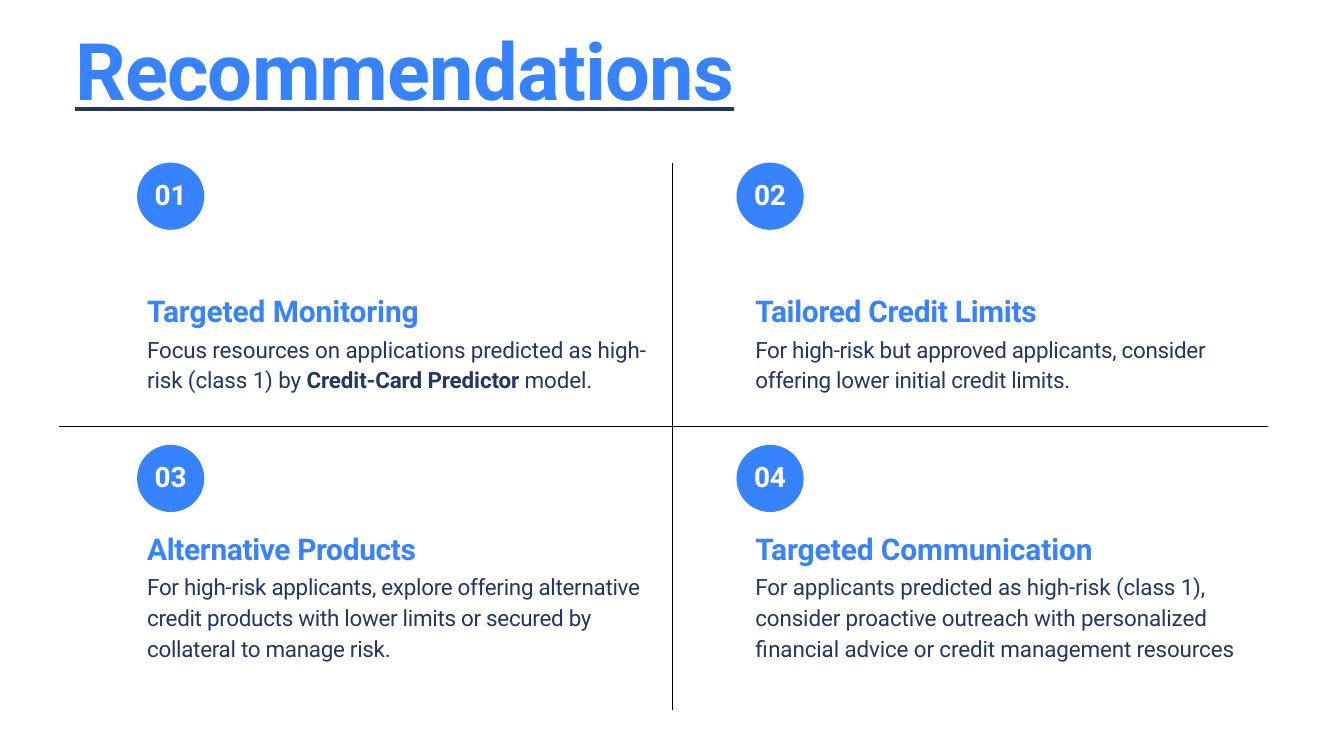
import pptx
import pptx.dml.color
import pptx.enum.shapes
import pptx.enum.text
import pptx.oxml
import pptx.oxml.ns
import pptx.util

Inches = pptx.util.Inches
Pt = pptx.util.Pt
RGBColor = pptx.dml.color.RGBColor
MSO_ANCHOR = pptx.enum.text.MSO_ANCHOR
PP_ALIGN = pptx.enum.text.PP_ALIGN

BLUE = RGBColor(0x37, 0x83, 0xFD)
NAVY = RGBColor(0x24, 0x37, 0x61)
WHITE = RGBColor(0xFF, 0xFF, 0xFF)
BLACK = RGBColor(0x00, 0x00, 0x00)
FONT = "Roboto"

TITLE = "Recommendations"
RECOMMENDATIONS = [
    ("Targeted Monitoring", -0.1, -0.15,
     [("Focus resources on applications predicted as high-risk (class 1) by ", False),
      ("Credit-Card Predictor", True), (" model.", False)]),
    ("Tailored Credit Limits", -0.35, -0.3,
     [("For high-risk but approved applicants, consider offering lower initial credit limits.", False)]),
    ("Alternative Products", -0.4, -0.3,
     [("For high-risk applicants, explore offering alternative credit products with lower limits "
       "or secured by collateral to manage risk.", False)]),
    ("Targeted Communication", -0.1, -0.15,
     [("For applicants predicted as high-risk (class 1), consider proactive outreach with "
       "personalized financial advice or credit management resources", False)]),
]

SLIDE_WIDTH, SLIDE_HEIGHT = 20, 11.25
BADGE_SIZE = 1
BADGE_LEFTS = (2.04, 10.96)
TEXT_LEFTS = (2.18, 11.23)
TEXT_WIDTHS = ((7.54, 7.01), (7.68, 7.18))
ROWS = [
    {"badge": 2.42, "text": 4.21, "height": 1.65, "heading_gap": 10.6, "body_gap": 3},
    {"badge": 6.62, "text": 7.74, "height": 2.13, "heading_gap": 11.2, "body_gap": 3.5},
]
DIVIDERS = [(10, 2.42, 10, 10.56), (0.88, 6.34, 18.87, 6.34)]


def format_run(run, size, color, bold, spacing):
    run.font.name = FONT
    run.font.size = Pt(size)
    run.font.bold = bold
    run.font.color.rgb = color
    run._r.get_or_add_rPr().set("spc", str(round(spacing * 100)))


def prepare_frame(text_frame, left=0, top=0, anchor=MSO_ANCHOR.TOP):
    text_frame.word_wrap = True
    text_frame.auto_size = pptx.enum.text.MSO_AUTO_SIZE.NONE
    text_frame.vertical_anchor = anchor
    text_frame.margin_left = Inches(left)
    text_frame.margin_top = Inches(top)
    text_frame.margin_right = text_frame.margin_bottom = 0


def add_title(slide):
    title = slide.shapes.title
    title.left, title.top = Inches(1.11), Inches(0.31)
    title.width, title.height = Inches(9.97), Inches(1.44)
    prepare_frame(title.text_frame, 0.01, 0.01)
    title.text_frame.text = TITLE
    paragraph = title.text_frame.paragraphs[0]
    paragraph.alignment = PP_ALIGN.LEFT
    paragraph.line_spacing = 1.0
    paragraph.space_before = Pt(1)
    run = paragraph.runs[0]
    format_run(run, 85, BLUE, True, -0.8)
    run.font.underline = True
    underline = pptx.oxml.parse_xml(
        f'<a:uFill {pptx.oxml.ns.nsdecls("a")}><a:solidFill>'
        f'<a:srgbClr val="{NAVY}"/></a:solidFill></a:uFill>')
    run._r.rPr.find(pptx.oxml.ns.qn("a:latin")).addprevious(underline)


def add_divider(slide, ends):
    divider = slide.shapes.add_connector(
        pptx.enum.shapes.MSO_CONNECTOR.STRAIGHT, *map(Inches, ends))
    divider.line.color.rgb = BLACK
    divider.line.width = Pt(0.75)
    divider._element.spPr.append(pptx.oxml.parse_xml(
        f'<a:effectLst {pptx.oxml.ns.nsdecls("a")}/>'))


def add_badge(slide, number, left, top):
    badge = slide.shapes.add_shape(
        pptx.enum.shapes.MSO_SHAPE.OVAL,
        Inches(left), Inches(top), Inches(BADGE_SIZE), Inches(BADGE_SIZE))
    badge.shadow.inherit = False
    badge.fill.solid()
    badge.fill.fore_color.rgb = BLUE
    badge.line.fill.background()
    prepare_frame(badge.text_frame, anchor=MSO_ANCHOR.MIDDLE)
    badge.text_frame.word_wrap = False
    badge.text_frame.margin_bottom = Inches(0.05)
    badge.text_frame.text = f"{number:02d}"
    paragraph = badge.text_frame.paragraphs[0]
    paragraph.alignment = PP_ALIGN.CENTER
    format_run(paragraph.runs[0], 30, WHITE, True, -0.2)


def add_recommendation(slide, recommendation, left, width, row):
    heading, heading_spacing, body_spacing, parts = recommendation
    box = slide.shapes.add_textbox(
        Inches(left), Inches(row["text"]), Inches(width), Inches(row["height"]))
    prepare_frame(box.text_frame, 0.01, 0.15)
    box.text_frame.text = heading
    paragraph = box.text_frame.paragraphs[0]
    paragraph.space_before = Pt(row["heading_gap"])
    format_run(paragraph.runs[0], 32, BLUE, True, heading_spacing)
    body = box.text_frame.add_paragraph()
    body.line_spacing = 1.15
    body.space_before = Pt(row["body_gap"])
    for text, bold in parts:
        run = body.add_run()
        run.text = text
        format_run(run, 24, NAVY, bold, body_spacing)


def main():
    presentation = pptx.Presentation()
    presentation.slide_width = Inches(SLIDE_WIDTH)
    presentation.slide_height = Inches(SLIDE_HEIGHT)
    slide = presentation.slides.add_slide(presentation.slide_layouts[5])
    add_title(slide)
    for ends in DIVIDERS:
        add_divider(slide, ends)
    for index, recommendation in enumerate(RECOMMENDATIONS):
        row_index, column = divmod(index, 2)
        row = ROWS[row_index]
        add_badge(slide, index + 1, BADGE_LEFTS[column], row["badge"])
        add_recommendation(slide, recommendation, TEXT_LEFTS[column],
                           TEXT_WIDTHS[row_index][column], row)
    presentation.save("out.pptx")


if __name__ == "__main__":
    main()
